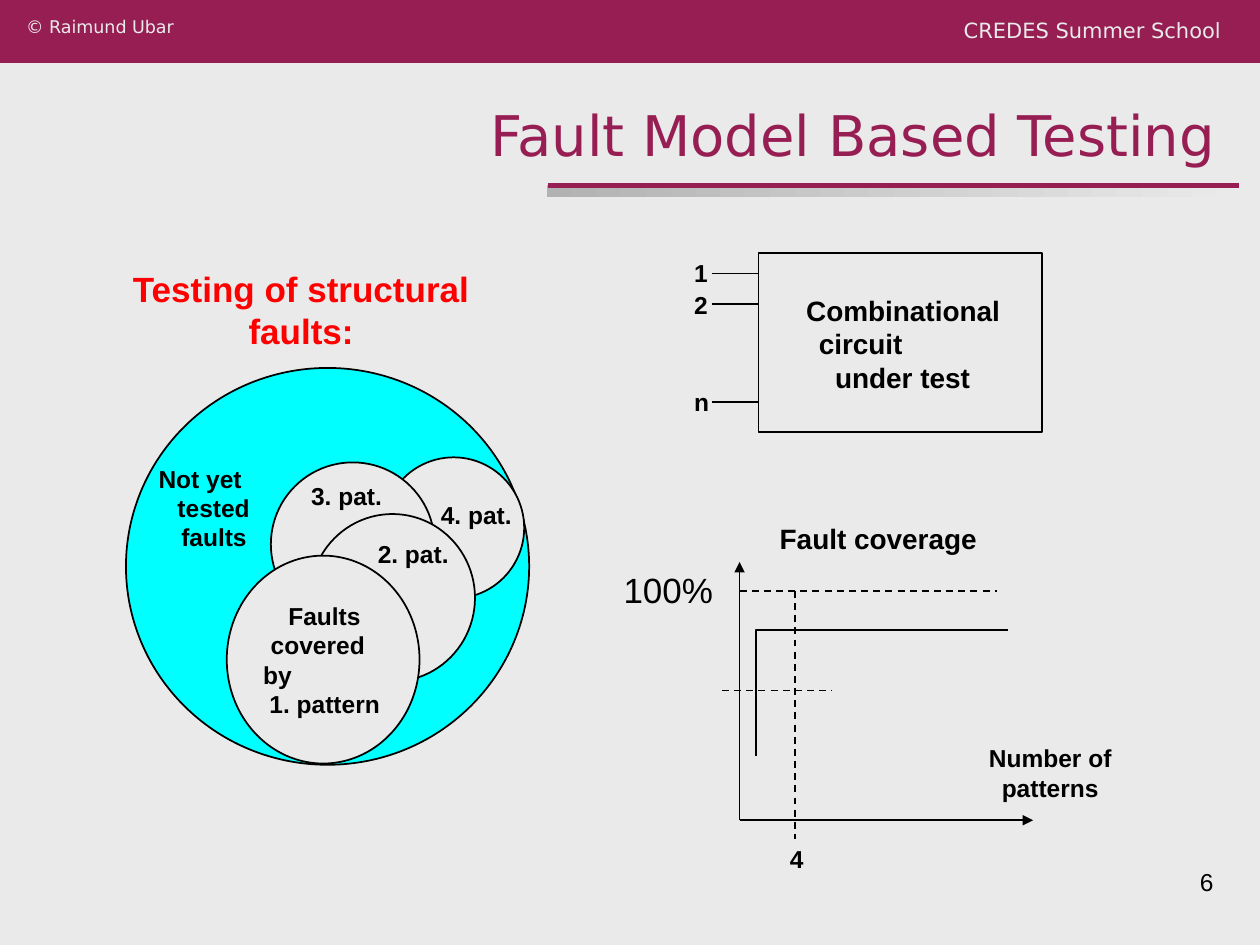
from dataclasses import dataclass
from math import cos, pi, sin

from lxml import etree
from pptx import Presentation
from pptx.dml.color import RGBColor
from pptx.enum.dml import MSO_LINE
from pptx.enum.shapes import MSO_CONNECTOR, MSO_SHAPE
from pptx.enum.text import MSO_ANCHOR, MSO_AUTO_SIZE, PP_ALIGN
from pptx.oxml.ns import qn
from pptx.util import Inches, Pt

LEFT, CENTER, RIGHT = PP_ALIGN.LEFT, PP_ALIGN.CENTER, PP_ALIGN.RIGHT
RECT, OVAL = MSO_SHAPE.RECTANGLE, MSO_SHAPE.OVAL
STRAIGHT = MSO_CONNECTOR.STRAIGHT
DASH = MSO_LINE.DASH


@dataclass(frozen=True)
class Theme:
    paper: str = "EAEAEA"
    wine: str = "971E53"
    gray: str = "B2B2B2"
    ink: str = "000000"
    red: str = "FF0000"
    cyan: str = "00FFFF"
    sans: str = "Arial"
    brand: str = "DejaVu Sans"
    title: int = 32
    head: int = 20
    label: int = 16
    small: int = 14
    top: int = 12
    note: int = 10


def rgb(code):
    return RGBColor.from_string(code)


class Board:
    """Draws styled elements on one slide."""

    def __init__(self, slide, theme):
        self.slide, self.theme = slide, theme
        slide.background.fill.solid()
        slide.background.fill.fore_color.rgb = rgb(theme.paper)

    def style(self, frame, size, color, font, bold, align):
        for para in frame.paragraphs:
            para.alignment = align
            for run in para.runs:
                run.font.size, run.font.bold = Pt(size), bold
                run.font.name = font
                run.font.color.rgb = rgb(color)

    def title(self, text, *box):
        shape = self.slide.shapes.title
        shape.left, shape.top, shape.width, shape.height = map(Inches, box)
        frame = shape.text_frame
        frame.text = text
        frame.auto_size = MSO_AUTO_SIZE.NONE
        frame.vertical_anchor = MSO_ANCHOR.BOTTOM
        self.style(frame, self.theme.title, self.theme.wine,
                   self.theme.brand, False, RIGHT)

    def text(self, text, *box, size=None, color=None, font=None,
             bold=True, align=LEFT, steps=()):
        """Add a text box; steps are the left indents of its lines."""
        frame = self.slide.shapes.add_textbox(*map(Inches, box)).text_frame
        frame.word_wrap = True
        frame.text = text
        for para, step in zip(frame.paragraphs, steps):
            para._p.get_or_add_pPr().set("marL", str(Inches(step)))
        self.style(frame, size or self.theme.small, color or self.theme.ink,
                   font or self.theme.sans, bold, align)

    def shape(self, kind, *box, fill=None, line=True):
        shape = self.slide.shapes.add_shape(kind, *map(Inches, box))
        shape.shadow.inherit = False
        shape.fill.solid()
        shape.fill.fore_color.rgb = rgb(fill or self.theme.paper)
        if line:
            shape.line.color.rgb = rgb(self.theme.ink)
            shape.line.width = Pt(1)
        else:
            shape.line.fill.background()
        return shape

    def fade(self, *box):
        shape = self.shape(RECT, *box, line=False)
        shape.fill.gradient()
        shape.fill.gradient_angle = 0
        colors = self.theme.gray, self.theme.paper
        for stop, color in zip(shape.fill.gradient_stops, colors):
            stop.color.rgb = rgb(color)

    def line(self, *ends, color=None, width=1, dash=None, arrow=False):
        line = self.slide.shapes.add_connector(STRAIGHT, *map(Inches, ends))
        line.line.color.rgb = rgb(color or self.theme.ink)
        line.line.width = Pt(width)
        if dash:
            line.line.dash_style = dash
        if arrow:
            tip = etree.SubElement(line.line._get_or_add_ln(), qn("a:tailEnd"))
            tip.set("type", "triangle")
        etree.SubElement(line._element.spPr, qn("a:effectLst"))

    def curve(self, points):
        start, *rest = points
        pen = self.slide.shapes.build_freeform(*start, scale=Inches(1))
        pen.add_line_segments(rest, close=False)
        shape = pen.convert_to_shape()
        shape.shadow.inherit = False
        shape.fill.background()
        shape.line.color.rgb = rgb(self.theme.ink)
        shape.line.width = Pt(1)


def header(board):
    look = board.theme
    board.shape(RECT, 0, 0, 10, 0.5, fill=look.wine, line=False)
    board.fade(4.34, 1.47, 5.51, 0.09)
    board.line(4.35, 1.47, 9.83, 1.47, color=look.wine, width=3)
    plain = dict(color=look.paper, font=look.brand, bold=False)
    board.text("CREDES Summer School", 7.41, 0.09, 2.38, 0.32,
               size=look.top, align=RIGHT, **plain)
    board.text("© Raimund Ubar", 0.11, 0.08, 2.38, 0.32,
               size=look.note, **plain)
    board.title("Fault Model Based Testing", 0, 0.75, 9.75, 0.63)


def circuit(board):
    board.shape(RECT, 6.02, 2.01, 2.25, 1.42)
    # Input pins: name, line height, label top
    for name, y, top in (("1", 2.17, 2), ("2", 2.41, 2.25), ("n", 3.19, 3.02)):
        board.line(5.65, y, 6.02, y)
        board.text(name, 5.41, top, 0.29, 0.34)
    board.text("Combinational\ncircuit\nunder test", 6.15, 2.28, 2.04, 0.9,
               size=board.theme.label, steps=(0.15, 0.25, 0.38))


def coverage(board):
    look = board.theme
    left, base, right = 5.87, 6.51, 7.91
    # Axes
    board.line(left, base, left, 4.46, arrow=True)
    board.line(left, base, 8.2, base, arrow=True)
    # Quarter ellipse from the origin up to its flat end
    low, high, count = 6.49, 4.83, 48
    turns = [pi / 2 * i / count for i in range(count + 1)]
    board.curve([(right - (right - left) * cos(t),
                  low - (low - high) * sin(t)) for t in turns])
    # Guides
    for ends in ((left, 4.69, right, 4.69), (6.31, 4.69, 6.31, 6.66),
                 (5.73, 5.48, 6.6, 5.48)):
        board.line(*ends, dash=DASH)
    # Labels
    board.text("Fault coverage", 6.09, 4.09, 2.04, 0.37, size=look.label)
    board.text("100%", 4.85, 4.46, 0.95, 0.44, size=look.head, bold=False)
    board.text("Number of patterns", 7.49, 5.85, 1.69, 0.57, align=CENTER)
    board.text("4", 6.17, 6.65, 0.29, 0.34)


def faults(board):
    look = board.theme
    board.text("Testing of structural faults:", 0.54, 2.07, 3.7, 0.77,
               size=look.head, color=look.red, align=CENTER)
    # All faults, then the patterns from the last to the first
    board.shape(OVAL, 1, 2.92, 3.2, 3.15, fill=look.cyan)
    for box in ((3.04, 3.63, 1.12, 1.12), (2.15, 3.67, 1.3, 1.3),
                (2.46, 4.08, 1.31, 1.33), (1.8, 4.41, 1.53, 1.65)):
        board.shape(OVAL, *box)
    # Labels
    board.text("Not yet\ntested\nfaults", 1.05, 3.63, 1.31, 0.8,
               steps=(0.11, 0.26, 0.29))
    board.text("Faults\ncovered\nby\n1. pattern", 1.92, 4.72, 1.31, 1.04,
               steps=(0.27, 0.13, 0.07, 0.12))
    for name, x, y, w in (("4. pat.", 3.4, 3.92, 1.31),
                          ("2. pat.", 2.9, 4.23, 1.03),
                          ("3. pat.", 2.37, 3.77, 0.81)):
        board.text(name, x, y, w, 0.34)


def main():
    deck = Presentation()
    deck.slide_width, deck.slide_height = Inches(10), Inches(7.5)
    board = Board(deck.slides.add_slide(deck.slide_layouts[5]), Theme())
    header(board)
    circuit(board)
    coverage(board)
    faults(board)
    # Page number
    board.text("6", 7.17, 6.83, 2.56, 0.52, bold=False, align=RIGHT)
    deck.save("out.pptx")


if __name__ == "__main__":
    main()
